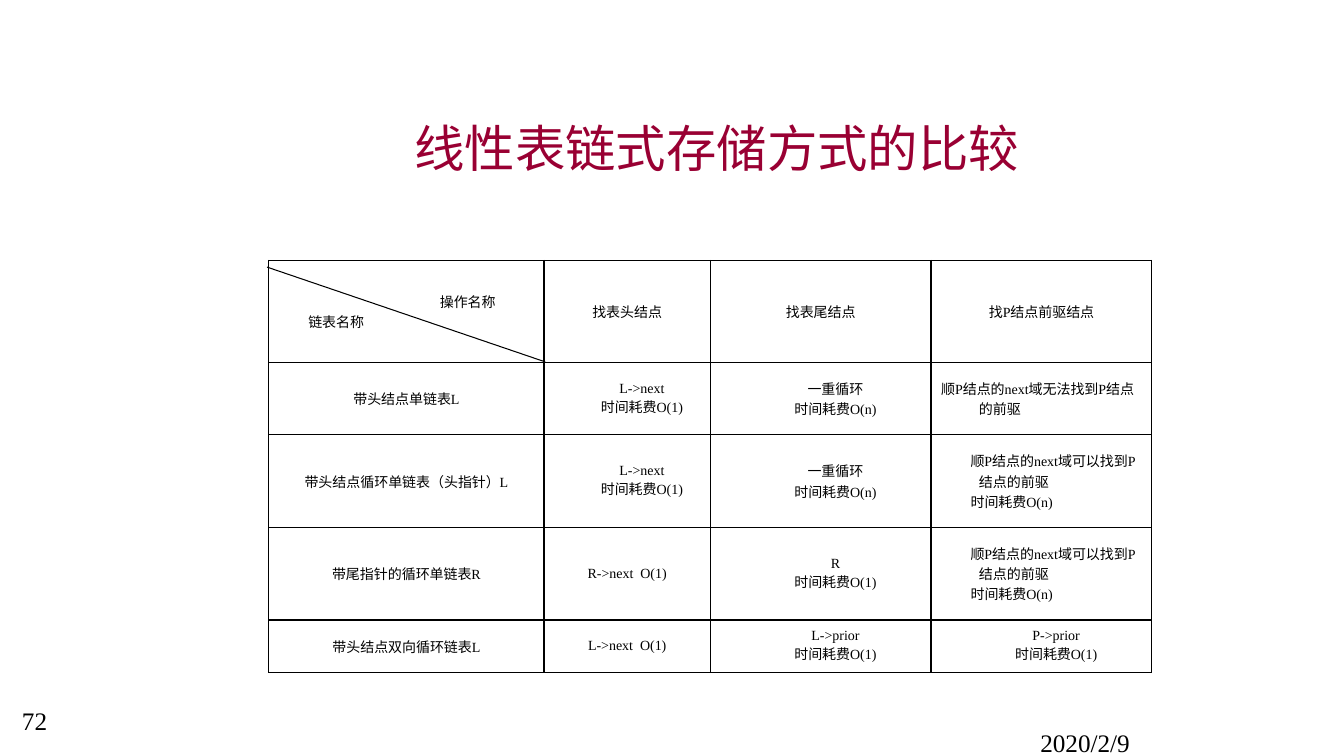
from dataclasses import dataclass

from lxml.etree import SubElement
from pptx import Presentation
from pptx.dml.color import RGBColor
from pptx.enum.shapes import MSO_CONNECTOR
from pptx.enum.text import MSO_ANCHOR, PP_ALIGN
from pptx.oxml.ns import qn
from pptx.util import Pt


@dataclass(frozen=True)
class Theme:
    title_color: RGBColor = RGBColor(0x99, 0x00, 0x33)
    ink: RGBColor = RGBColor(0, 0, 0)
    title_font: str = "Arial"
    body_font: str = "Times New Roman"
    title_size: int = 36
    footer_size: int = 18
    cell_size: int = 10


THEME = Theme()
COLUMN_WIDTHS = [196.6, 118.8, 157.7, 157.7]
ROW_HEIGHTS = [72.7, 51.8, 66.2, 66.2, 37.4]
LEFT_MARGIN, SHORT_HANG = 27, -6
OPERATION_MARGIN = 115

# Each cell is a list of paragraphs
PREDECESSOR = ["顺P结点的next域可以找到P结点的前驱", "时间耗费O(n)"]
ROWS = [
    [["操作名称", "链表名称"], ["找表头结点"], ["找表尾结点"], ["找P结点前驱结点"]],
    [["带头结点单链表L"], ["L->next", "时间耗费O(1)"],
     ["一重循环", "时间耗费O(n)"], ["顺P结点的next域无法找到P结点的前驱"]],
    [["带头结点循环单链表（头指针）L"], ["L->next", "时间耗费O(1)"],
     ["一重循环", "时间耗费O(n)"], PREDECESSOR],
    [["带尾指针的循环单链表R"], ["R->next  O(1)"],
     ["R", "时间耗费O(1)"], PREDECESSOR],
    [["带头结点双向循环链表L"], ["L->next  O(1)"],
     ["L->prior", "时间耗费O(1)"], ["P->prior", "时间耗费O(1)"]],
]
LEFT_ALIGNED = {(0, 0), (1, 3), (2, 3), (3, 3)}


def style_font(paragraph, name, size, color):
    paragraph.font.name = name
    paragraph.font.size = Pt(size)
    paragraph.font.color.rgb = color


def set_indent(paragraph, margin, indent):
    properties = paragraph._p.get_or_add_pPr()
    properties.set("marL", str(Pt(margin)))
    properties.set("indent", str(Pt(indent)))


def set_borders(cell):
    properties = cell._tc.get_or_add_tcPr()
    for position, side in enumerate(("lnL", "lnR", "lnT", "lnB")):
        line = SubElement(properties, qn(f"a:{side}"), w=str(Pt(1)))
        fill = SubElement(line, qn("a:solidFill"))
        SubElement(fill, qn("a:srgbClr"), val=str(THEME.ink))
        properties.remove(line)
        properties.insert(position, line)


def fill_cell(cell, texts, alignment):
    cell.fill.background()
    set_borders(cell)
    cell.vertical_anchor = MSO_ANCHOR.MIDDLE
    cell.text = "\n".join(texts)
    hang = SHORT_HANG if len(texts) > 1 else -LEFT_MARGIN
    for paragraph in cell.text_frame.paragraphs:
        set_indent(paragraph, LEFT_MARGIN, hang)
        paragraph.alignment = alignment
        style_font(paragraph, THEME.body_font, THEME.cell_size, THEME.ink)


def add_title(slide, text):
    title = slide.shapes.title
    title.left, title.top, title.width, title.height = Pt(96), Pt(60), Pt(840), Pt(90)
    title.text_frame.text = text
    title.text_frame.vertical_anchor = MSO_ANCHOR.MIDDLE
    paragraph = title.text_frame.paragraphs[0]
    paragraph.alignment = PP_ALIGN.CENTER
    style_font(paragraph, THEME.title_font, THEME.title_size, THEME.title_color)


def add_comparison_table(slide):
    frame = slide.shapes.add_table(len(ROW_HEIGHTS), len(COLUMN_WIDTHS), Pt(192), Pt(186),
                                   Pt(sum(COLUMN_WIDTHS)), Pt(sum(ROW_HEIGHTS)))
    table = frame.table
    table.first_row = table.horz_banding = False
    for column, width in zip(table.columns, COLUMN_WIDTHS):
        column.width = Pt(width)
    for row, height in zip(table.rows, ROW_HEIGHTS):
        row.height = Pt(height)
    for row_index, row in enumerate(ROWS):
        for column_index, texts in enumerate(row):
            left = (row_index, column_index) in LEFT_ALIGNED
            alignment = PP_ALIGN.LEFT if left else PP_ALIGN.CENTER
            fill_cell(table.cell(row_index, column_index), texts, alignment)
    # The operation label sits above the diagonal, to the right
    set_indent(table.cell(0, 0).text_frame.paragraphs[0], OPERATION_MARGIN, 0)


def add_header_diagonal(slide):
    line = slide.shapes.add_connector(MSO_CONNECTOR.STRAIGHT,
                                      Pt(190.8), Pt(190.8), Pt(389.5), Pt(258.5))
    line.line.color.rgb = THEME.ink
    line.line.width = Pt(0.75)
    SubElement(line._element.spPr, qn("a:effectLst"))


def add_footer(slide, text, left, top, width, height):
    box = slide.shapes.add_textbox(Pt(left), Pt(top), Pt(width), Pt(height))
    box.text_frame.word_wrap = True
    box.text_frame.text = text
    style_font(box.text_frame.paragraphs[0], THEME.body_font, THEME.footer_size, THEME.ink)


def main():
    presentation = Presentation()
    presentation.slide_width, presentation.slide_height = Pt(960), Pt(540)
    slide = presentation.slides.add_slide(presentation.slide_layouts.get_by_name("Title Only"))

    # Title and table
    add_title(slide, "线性表链式存储方式的比较 ")
    add_comparison_table(slide)

    # Date and page number
    add_footer(slide, "2020/2/9", 736, 516, 200, 24)
    add_footer(slide, "72", 8.6, 500, 62, 38)

    # Split of the header cell
    add_header_diagonal(slide)
    presentation.save("out.pptx")


if __name__ == "__main__":
    main()
